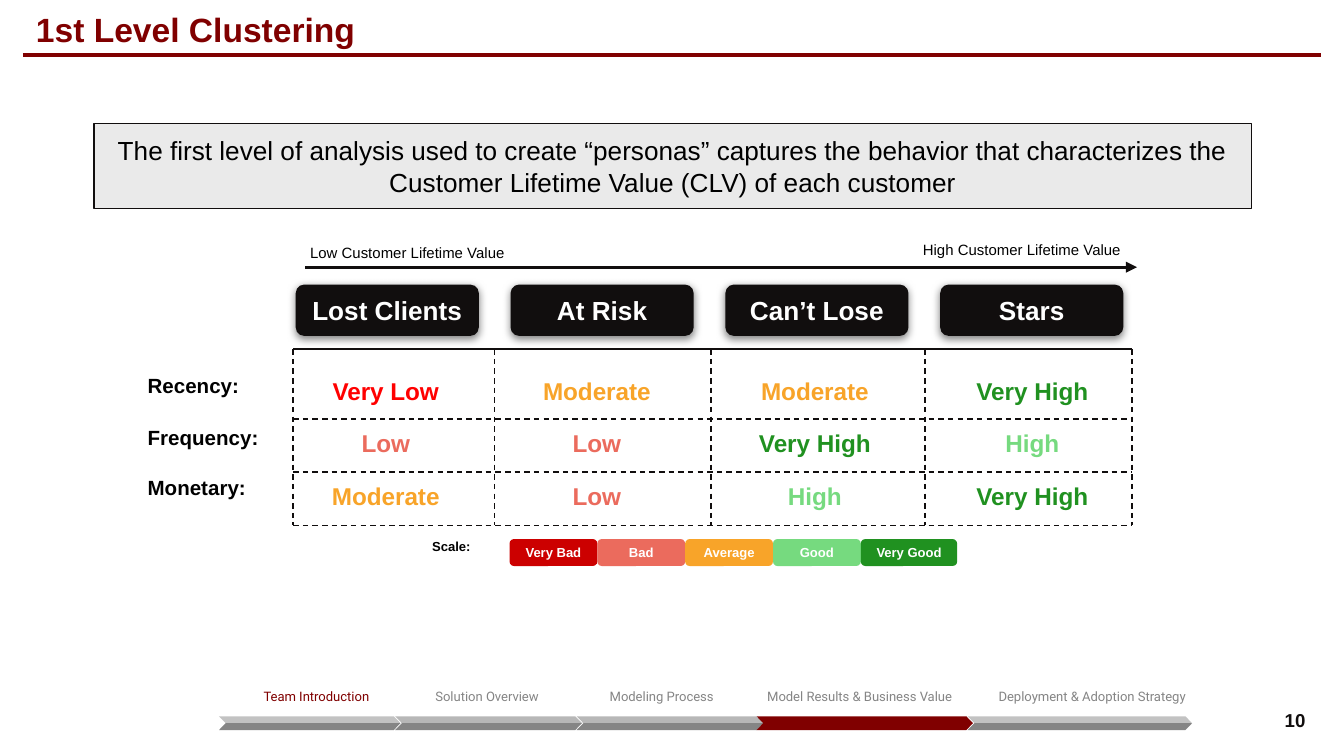
from lxml import etree
from pptx import Presentation
from pptx.dml.color import RGBColor
from pptx.enum.dml import MSO_LINE
from pptx.enum.shapes import MSO_CONNECTOR, MSO_SHAPE
from pptx.enum.text import MSO_ANCHOR, PP_ALIGN
from pptx.oxml.ns import qn
from pptx.util import Cm, Pt

LEFT, CENTER, RIGHT = PP_ALIGN.LEFT, PP_ALIGN.CENTER, PP_ALIGN.RIGHT
TOP, MIDDLE, BOTTOM = MSO_ANCHOR.TOP, MSO_ANCHOR.MIDDLE, MSO_ANCHOR.BOTTOM
RECT, ROUNDED, SLANTED = MSO_SHAPE.RECTANGLE, MSO_SHAPE.ROUNDED_RECTANGLE, MSO_SHAPE.PARALLELOGRAM
STRAIGHT, DASH = MSO_CONNECTOR.STRAIGHT, MSO_LINE.DASH

COLORS = {
    "maroon": "800000", "ink": "110E0E", "black": "000000", "white": "FFFFFF",
    "panel": "EAEAEA", "gray": "858585", "light gray": "C2C2C2", "mid gray": "B7B7B7",
    "red": "FF0000", "dark red": "CC0000", "coral": "EB6B5D",
    "orange": "F8A429", "light green": "76DA7F", "green": "209120",
}

TITLE = "1st Level Clustering"
SUMMARY = ("The first level of analysis used to create “personas” captures the behavior "
           "that characterizes the Customer Lifetime Value (CLV) of each customer")
PAGE_NUMBER = "10"

PERSONAS = ["Lost Clients", "At Risk", "Can’t Lose", "Stars"]
RATINGS = [
    ("Recency:", 6.81, ["Very Low", "Moderate", "Moderate", "Very High"]),
    ("Frequency:", 7.8, ["Low", "Low", "Very High", "High"]),
    ("Monetary:", 8.74, ["Moderate", "Low", "High", "Very High"]),
]
RATING_COLORS = {"Very Low": "red", "Low": "coral", "Moderate": "orange",
                 "High": "light green", "Very High": "green"}
RATING_LEFTS = [5.56, 9.55, 13.67, 17.78]
GRID_X = [5.54, 9.35, 13.44, 17.48, 21.39]
GRID_Y = [6.6, 7.92, 8.92, 9.93]

# name, fill, width
SCALE = [("Very Bad", "dark red", 1.66), ("Bad", "coral", 1.66), ("Average", "orange", 1.66),
         ("Good", "light green", 1.66), ("Very Good", "green", 1.82)]

# name, name colour, alignment, name left and width, bar left and width, upper and lower bar colour
SECTIONS = [
    ("Team Introduction", "maroon", CENTER, 4.34, 3.28, 4.14, 3.43, "light gray", "gray"),
    ("Solution Overview", "gray", CENTER, 7.06, 4.29, 7.47, 3.53, "mid gray", "gray"),
    ("Modeling Process", "gray", CENTER, 10.36, 4.29, 10.9, 3.53, "mid gray", "gray"),
    ("Model Results & Business Value", "gray", LEFT, 14.25, 4.78, 14.3, 4.09, "maroon", "maroon"),
    ("Deployment & Adoption Strategy", "gray", CENTER, 18.26, 4.76, 18.29, 4.24, "light gray", "gray"),
]

prs = Presentation()
prs.slide_width, prs.slide_height = Cm(25.4), Cm(14.29)
slide = prs.slides.add_slide(prs.slide_layouts[6])


def rgb(name):
    return RGBColor.from_string(COLORS[name])


def write(shape, text, size, color, bold=False, align=LEFT, anchor=MIDDLE,
          font="Arial", inset_y=0.25, spacing=None):
    frame = shape.text_frame
    frame.word_wrap = True
    frame.vertical_anchor = anchor
    frame.margin_left = frame.margin_right = Cm(0.25)
    frame.margin_top = frame.margin_bottom = Cm(inset_y)
    paragraph = frame.paragraphs[0]
    paragraph.text = text
    paragraph.alignment = align
    paragraph.line_spacing = spacing
    paragraph.font.name = font
    paragraph.font.size = Pt(size)
    paragraph.font.bold = bold
    paragraph.font.color.rgb = rgb(color)


def add_label(box, text, size, color, **style):
    write(slide.shapes.add_textbox(*map(Cm, box)), text, size, color, **style)


def add_block(kind, box, fill=None, outline=None):
    block = slide.shapes.add_shape(kind, *map(Cm, box))
    block.shadow.inherit = False
    if fill:
        block.fill.solid()
        block.fill.fore_color.rgb = rgb(fill)
    else:
        block.fill.background()
    if outline:
        block.line.color.rgb = rgb(outline)
        block.line.width = Pt(0.75)
    else:
        block.line.fill.background()
    return block


def add_line(x1, y1, x2, y2, color="ink", width=0.75, dash=None, arrow=False):
    line = slide.shapes.add_connector(STRAIGHT, Cm(x1), Cm(y1), Cm(x2), Cm(y2))
    line.line.color.rgb = rgb(color)
    line.line.width = Pt(width)
    if dash:
        line.line.dash_style = dash
    if arrow:
        etree.SubElement(line.line._get_or_add_ln(), qn("a:tailEnd"), type="triangle")
    etree.SubElement(line._element.spPr, qn("a:effectLst"))


def add_soft_shadow(block):
    effects = block._element.spPr.find(qn("a:effectLst"))
    shadow = etree.SubElement(effects, qn("a:outerShdw"), blurRad=str(Pt(4.5)), dist=str(Pt(1.5)),
                              dir="5400000", algn="bl", rotWithShape="0")
    tint = etree.SubElement(shadow, qn("a:srgbClr"), val=COLORS["black"])
    etree.SubElement(tint, qn("a:alpha"), val="50000")


# Title, page number and summary
add_line(0.43, 1.04, 24.97, 1.04, "maroon", 2)
add_label((0.43, -0.46, 24.54, 1.52), TITLE, 18, "maroon", bold=True, anchor=BOTTOM, inset_y=0.13)
add_label((23.5, 13.23, 1.42, 0.76), PAGE_NUMBER, 10, "ink", bold=True, align=RIGHT, inset_y=0.13)
write(add_block(RECT, (1.78, 2.34, 21.87, 1.6), "panel", "ink"), SUMMARY, 14, "black", align=CENTER)

# Lifetime value axis
add_line(5.77, 5.05, 21.49, 5.05, width=1.5, arrow=True)
add_label((5.61, 4.42, 4.39, 0.69), "Low Customer Lifetime Value", 8, "black")
add_label((17.04, 4.37, 4.55, 0.69), "High Customer Lifetime Value", 8, "black", align=CENTER)

# Personas and their ratings
for column, persona in enumerate(PERSONAS):
    header = add_block(ROUNDED, (5.59 + 4.06 * column, 5.38, 3.46, 0.97), "ink")
    add_soft_shadow(header)
    write(header, persona, 14, "white", bold=True, align=CENTER)

for row, (measure, label_top, ratings) in enumerate(RATINGS):
    add_label((2.54, label_top, 3.28, 0.99), measure, 11, "black", bold=True, anchor=TOP)
    for left, rating in zip(RATING_LEFTS, ratings):
        cell = add_block(ROUNDED, (left, 7.01 + 0.99 * row, 3.46, 0.76))
        write(cell, rating, 13, RATING_COLORS[rating], bold=True, align=CENTER)

for y in GRID_Y:
    add_line(GRID_X[0], y, GRID_X[-1], y, dash=None if y == GRID_Y[0] else DASH)
for x in GRID_X:
    add_line(x, GRID_Y[0], x, GRID_Y[-1], dash=DASH)

# Colour scale
add_label((7.92, 10.03, 1.3, 0.81), "Scale:", 7, "black", bold=True, anchor=TOP)
for step, (grade, fill, width) in enumerate(SCALE):
    chip = add_block(ROUNDED, (9.63 + 1.66 * step, 10.19, width, 0.51), fill)
    write(chip, grade, 7, "white", bold=True, align=CENTER)

# Section tracker
for name, color, align, left, width, bar_left, bar_width, upper, lower in SECTIONS:
    add_label((left, 12.8, width, 0.66), name, 7, color, align=align, anchor=TOP,
              font="Roboto", spacing=1.15)
    for top, fill, flipped in ((13.54, upper, True), (13.67, lower, False)):
        bar = add_block(SLANTED, (bar_left, top, bar_width, 0.13), fill)
        bar.adjustments[0] = 0.97
        if flipped:
            bar._element.spPr.xfrm.set("flipH", "1")

prs.save("out.pptx")
